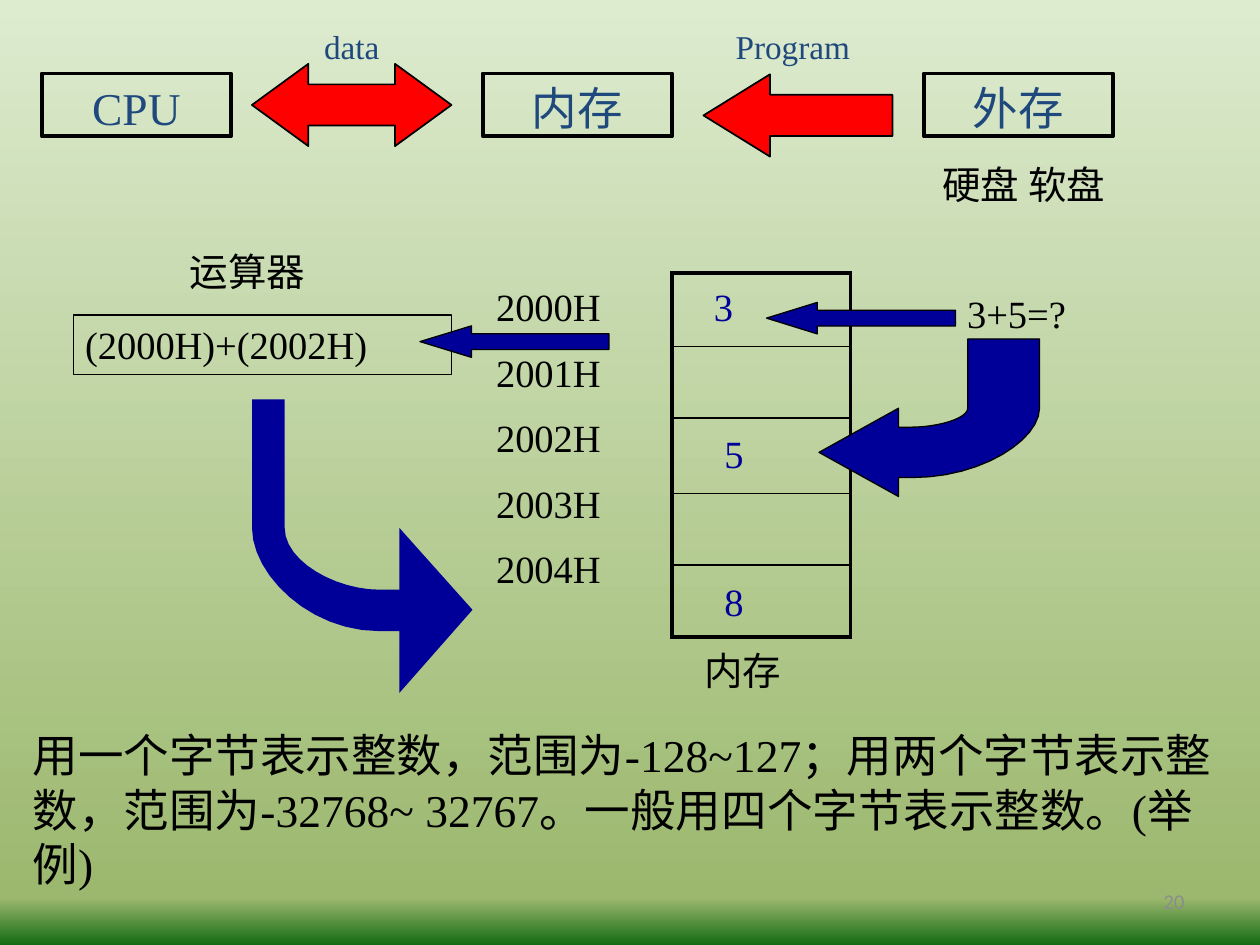
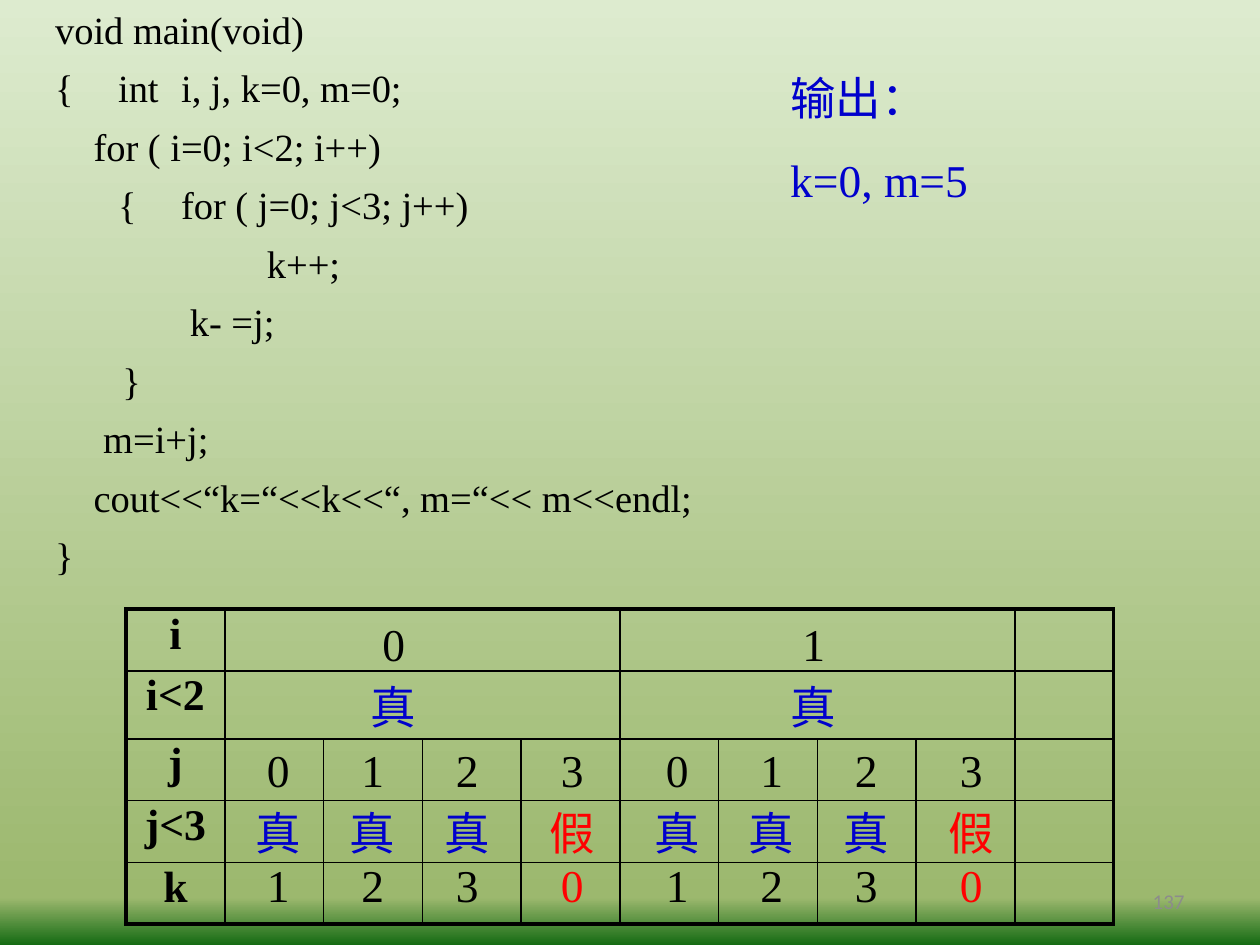
"""Build two lecture slides: a memory diagram and a nested loop trace."""
from dataclasses import dataclass
from typing import NamedTuple

from lxml.etree import SubElement
from pptx import Presentation
from pptx.dml.color import RGBColor
from pptx.enum.shapes import MSO_SHAPE
from pptx.enum.text import MSO_ANCHOR, MSO_AUTO_SIZE, PP_ALIGN
from pptx.oxml.ns import qn
from pptx.shapes.autoshape import Shape
from pptx.slide import Slide, SlideMaster
from pptx.table import Table
from pptx.util import Pt

BLACK = RGBColor(0x00, 0x00, 0x00)
NAVY = RGBColor(0x00, 0x00, 0x99)
BLUE = RGBColor(0x00, 0x00, 0xCC)
SLATE = RGBColor(0x1F, 0x49, 0x7D)
RED = RGBColor(0xFF, 0x00, 0x00)
GRAY = RGBColor(0x8C, 0x8C, 0x8C)
STOPS = (
    (0, RGBColor(0xDD, 0xEB, 0xCF)),
    (95, RGBColor(0x9C, 0xB8, 0x6E)),
    (100, RGBColor(0x15, 0x6B, 0x13)),
)
SERIF, SANS = "Times New Roman", "Calibri"
BARE, TIGHT, ROOMY = (0, 0), (1.5, 0.75), (6.6, 3.6)
THICK, THIN = 2.25, 1
STEPS = 12


class Box(NamedTuple):
    x: float
    y: float
    w: float
    h: float


class Point(NamedTuple):
    x: float
    y: float


@dataclass(frozen=True)
class Style:
    size: float = 22
    color: RGBColor = BLACK
    pad: tuple[float, float] = ROOMY
    align: PP_ALIGN = PP_ALIGN.LEFT
    gap: float = 0.5
    lead: float | None = None
    font: str = SERIF
    bold: bool = False


@dataclass(frozen=True)
class Label:
    text: str
    box: Box
    style: Style = Style()


@dataclass(frozen=True)
class Arrow:
    kind: MSO_SHAPE
    box: Box
    head: float
    color: RGBColor
    line: float


@dataclass(frozen=True)
class Code:
    text: str
    left: float = 0
    stops: tuple[float, ...] = ()


CELL = Style(color=NAVY, pad=BARE)
UNIT = Style(26, SLATE, TIGHT, PP_ALIGN.CENTER, lead=1.1)
FLOW = Style(19, SLATE, TIGHT, PP_ALIGN.CENTER, lead=1.1)
SOURCE = Style(pad=TIGHT, gap=0.2, lead=1.1)
HEAD = Style(25, pad=TIGHT, align=PP_ALIGN.CENTER, gap=0.2, bold=True)
PAGE = Style(12, GRAY, (7.2, 3.6), PP_ALIGN.RIGHT, 0, font=SANS)


def mark(color: RGBColor) -> Style:
    return Style(26, color, TIGHT, PP_ALIGN.CENTER, lead=1.1)


def paint_back(master: SlideMaster) -> None:
    fill = master.background.fill
    fill.gradient()
    fill.gradient_angle = 270
    stops = master.element.find(".//" + qn("a:gsLst"))
    stops.clear()
    for place, color in STOPS:
        stop = SubElement(stops, qn("a:gs"), pos=str(place * 1000))
        SubElement(stop, qn("a:srgbClr"), val=str(color))


def write(host, text: str, style: Style) -> None:
    frame = host.text_frame
    frame.text = text
    for para in frame.paragraphs:
        para.alignment = style.align
        if style.lead:
            para.line_spacing = style.lead
        if style.gap:
            para._p.get_or_add_pPr().get_or_add_spcBef().set_spcPct(style.gap)
        para.font.size = Pt(style.size)
        para.font.name = style.font
        para.font.bold = style.bold
        para.font.color.rgb = style.color


def fit(shape: Shape, style: Style) -> None:
    frame = shape.text_frame
    frame.word_wrap = True
    frame.auto_size = MSO_AUTO_SIZE.SHAPE_TO_FIT_TEXT
    frame.vertical_anchor = MSO_ANCHOR.TOP
    frame.margin_left = frame.margin_right = Pt(style.pad[0])
    frame.margin_top = frame.margin_bottom = Pt(style.pad[1])


def add_label(slide: Slide, label: Label) -> Shape:
    shape = slide.shapes.add_textbox(*map(Pt, label.box))
    write(shape, label.text, label.style)
    fit(shape, label.style)
    return shape


def add_page(slide: Slide, number: int) -> None:
    shape = add_label(slide, Label(str(number), Box(516, 500.4, 168, 28.8), PAGE))
    shape.text_frame.auto_size = MSO_AUTO_SIZE.NONE
    shape.text_frame.vertical_anchor = MSO_ANCHOR.MIDDLE


def dress(shape: Shape, fill: RGBColor | None, line: float) -> None:
    shape.shadow.inherit = False
    if fill is None:
        shape.fill.background()
    else:
        shape.fill.solid()
        shape.fill.fore_color.rgb = fill
    if line:
        shape.line.color.rgb = BLACK
        shape.line.width = Pt(line)
    else:
        shape.line.fill.background()


def add_frame(slide: Slide, box: Box, line: float) -> Shape:
    shape = slide.shapes.add_shape(MSO_SHAPE.RECTANGLE, *map(Pt, box))
    dress(shape, None, line)
    return shape


def add_unit(slide: Slide, label: Label) -> None:
    shape = add_frame(slide, label.box, THICK)
    write(shape, label.text, label.style)
    fit(shape, label.style)


def add_arrow(slide: Slide, arrow: Arrow) -> None:
    shape = slide.shapes.add_shape(arrow.kind, *map(Pt, arrow.box))
    shape.adjustments[0] = 0.5
    shape.adjustments[1] = arrow.head
    dress(shape, arrow.color, arrow.line)


def curve(a: Point, b: Point, c: Point, d: Point) -> list[Point]:
    def blend(t: float, p: float, q: float, r: float, s: float) -> float:
        u = 1 - t
        return u**3 * p + 3 * u * u * t * q + 3 * u * t * t * r + t**3 * s

    times = [step / STEPS for step in range(STEPS + 1)]
    return [Point(blend(t, a.x, b.x, c.x, d.x), blend(t, a.y, b.y, c.y, d.y)) for t in times]


def bend(start: Point, end: Point) -> list[Point]:
    k = 0.55
    if start.y > end.y:
        return curve(start, Point(start.x + k * (end.x - start.x), start.y),
                     Point(end.x, end.y + (1 - k) * (start.y - end.y)), end)
    return curve(start, Point(start.x, start.y + k * (end.y - start.y)),
                 Point(end.x + (1 - k) * (start.x - end.x), end.y), end)


def add_hook(slide: Slide, tip: Point, neck: float, wings: tuple[float, float],
             band: tuple[float, float], turn: float, outer: float, inner: float,
             top: float, knee: float, line: float) -> None:
    high, low = band
    points = [tip, Point(neck, wings[1]), Point(neck, low)]
    points += bend(Point(turn, low), Point(outer, knee))
    points += [Point(outer, top), Point(inner, top)]
    points += bend(Point(inner, knee), Point(turn, high))
    points += [Point(neck, high), Point(neck, wings[0])]
    path = slide.shapes.build_freeform(Pt(tip.x), Pt(tip.y))
    path.add_line_segments([(Pt(p.x), Pt(p.y)) for p in points[1:]], close=True)
    dress(path.convert_to_shape(), NAVY, line)


def add_grid(slide: Slide, box: Box, cols: list[float], rows: list[float]) -> Table:
    table = slide.shapes.add_table(len(rows), len(cols), *map(Pt, box)).table
    table.first_row = table.horz_banding = False
    for col, width in zip(table.columns, cols):
        col.width = Pt(width)
    for row, height in zip(table.rows, rows):
        row.height = Pt(height)
    return table


def rule_grid(table: Table) -> None:
    last_row, last_col = len(table.rows) - 1, len(table.columns) - 1
    for r in range(last_row + 1):
        for c in range(last_col + 1):
            cell = table.cell(r, c)
            edges = {"L": c == 0, "R": c == last_col, "T": r == 0, "B": r == last_row}
            for side, outer in edges.items():
                if cell.is_spanned and side in "LR":
                    continue
                width = Pt(THICK if outer else THIN)
                edge = SubElement(cell._tc.get_or_add_tcPr(), qn(f"a:ln{side}"), w=str(width))
                fill = SubElement(edge, qn("a:solidFill"))
                SubElement(fill, qn("a:srgbClr"), val=str(BLACK))
            cell.fill.background()


def draw_store(slide: Slide) -> None:
    add_page(slide, 20)
    rows = [42, 41, 43, 41, 41]
    rule_grid(add_grid(slide, Box(384, 156, 102, sum(rows)), [102], rows))
    add_frame(slide, Box(42, 180, 216, 34), 0.75)
    for x, text in ((24, "CPU"), (276, "内存"), (528, "外存")):
        add_unit(slide, Label(text, Box(x, 42, 108, 36), UNIT))
    left, both = MSO_SHAPE.LEFT_ARROW, MSO_SHAPE.LEFT_RIGHT_ARROW
    for arrow in (
        Arrow(left, Box(240, 186.2, 108, 18), 1.635, NAVY, 0.75),
        Arrow(both, Box(144, 36.5, 114, 47), 0.686, RED, 1),
        Arrow(left, Box(402, 42.5, 108, 47), 0.809, RED, 1),
        Arrow(left, Box(438, 172.8, 108, 18), 1.614, NAVY, 0.75),
    ):
        add_arrow(slide, arrow)
    add_hook(slide, Point(270, 348.5), 228.2, (301.7, 396), (337, 360.7),
             216.7, 144, 162.7, 228.2, 301.7, 0)
    add_hook(slide, Point(468, 258.5), 513.4, (233.3, 283.7), (244.1, 272.9),
             521.3, 594, 553, 193.7, 233.3, 0.75)
    store = "\n".join(f"{cell}H" for cell in range(2000, 2005))
    note = "用一个字节表示整数，范围为-128~127；用两个字节表示整数，范围为-32768~ 32767。一般用四个字节表示整数。(举例)"
    for label in (
        Label(store, Box(282, 162, 78, 185), Style(pad=(1.5, 0))),
        Label("3", Box(408, 162, 30, 26.5), CELL),
        Label("5", Box(414, 246, 30, 26.5), CELL),
        Label("8", Box(414, 330, 30, 26.5), CELL),
        Label("3+5=?", Box(546, 162, 90, 33)),
        Label("运算器", Box(102, 138, 108, 33)),
        Label("(2000H)+(2002H)", Box(42, 180, 204, 33)),
        Label("内存", Box(396, 366, 84, 33)),
        Label("硬盘 软盘", Box(522, 88.5, 126, 33), Style(align=PP_ALIGN.CENTER)),
        Label("data", Box(168, 12, 66, 26.5), FLOW),
        Label("Program", Box(408, 12, 90, 26.5), FLOW),
        Label(note, Box(12, 412, 708, 70), Style(26)),
    ):
        add_label(slide, label)


def draw_code(slide: Slide) -> None:
    lines = (
        Code("void main(void)"),
        Code("{\tint\ti, j, k=0, m=0;", stops=(27, 66)),
        Code("for ( i=0; i<2; i++)", 22),
        Code("\t{\tfor ( j=0; j<3; j++)", stops=(38.5, 76.5)),
        Code("k++;", 121),
        Code("k- =j;", 77),
        Code("}", 38.5),
        Code("m=i+j;", 27.5),
        Code("cout<<“k=“<<k<<“, m=“<< m<<endl;", 22),
        Code("}"),
    )
    text = "\n".join(line.text for line in lines)
    shape = add_label(slide, Label(text, Box(30, 0, 558, 343), SOURCE))
    for para, line in zip(shape.text_frame.paragraphs, lines):
        props = para._p.get_or_add_pPr()
        props.set("marL", str(Pt(line.left)))
        props.set("indent", "0")
        if line.stops:
            tabs = props.makeelement(qn("a:tabLst"))
            for stop in line.stops:
                SubElement(tabs, qn("a:tab"), pos=str(Pt(stop)), algn="l")
            props.find(qn("a:spcBef")).addnext(tabs)


def draw_trace(slide: Slide) -> None:
    add_page(slide, 137)
    draw_code(slide)
    cols, rows = [56.45] * 10, [35.3, 38.9, 35.3, 35.3, 35.3]
    table = add_grid(slide, Box(72, 348, sum(cols), sum(rows)), cols, rows)
    for r in range(2):
        for c in (1, 5):
            table.cell(r, c).merge(table.cell(r, c + 3))
    for r, text in enumerate(("i", "i<2", "j", "j<3", "k")):
        cell = table.cell(r, 0)
        write(cell, text, HEAD)
        cell.margin_left = cell.margin_right = Pt(TIGHT[0])
        cell.margin_top = cell.margin_bottom = Pt(TIGHT[1])
    rule_grid(table)
    add_label(slide, Label("输出：\nk=0, m=5", Box(450, 36, 204, 86), Style(26, BLUE, TIGHT, lead=1.1)))
    for i, mid in enumerate((198, 438)):
        marks = [(str(i), mid, 348, BLACK), ("真", mid, 384, BLUE)]
        for j, shift in enumerate((0, 54, 108, 168)):
            x, more = 132 + 228 * i + shift, j < 3
            marks += [
                (str(j), x, 420, BLACK),
                ("真" if more else "假", x, 456, BLUE if more else RED),
                (str(j + 1) if more else "0", x, 486, BLACK if more else RED),
            ]
        for text, x, y, color in marks:
            add_label(slide, Label(text, Box(x, y, 54, 36), mark(color)))


deck = Presentation()
deck.slide_width, deck.slide_height = Pt(720), Pt(540)
paint_back(deck.slide_master)
for draw in (draw_store, draw_trace):
    draw(deck.slides.add_slide(deck.slide_layouts[6]))
deck.save("out.pptx")
